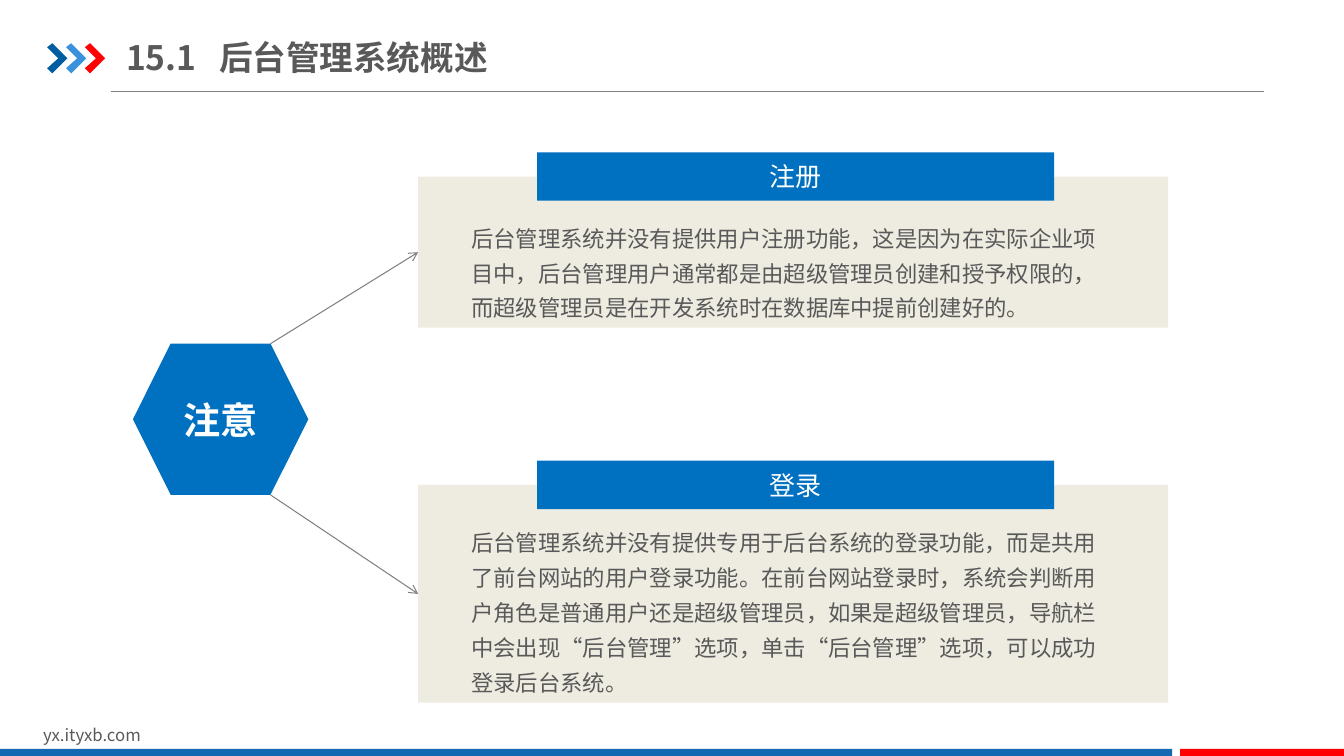
from lxml.etree import SubElement
from pptx import Presentation
from pptx.dml.color import RGBColor
from pptx.enum.shapes import MSO_CONNECTOR, MSO_SHAPE
from pptx.enum.text import MSO_ANCHOR, PP_ALIGN
from pptx.oxml.ns import qn
from pptx.util import Cm, Pt

FONT = "Noto Sans CJK SC"
BLUE, BEIGE, GRAY, TEXT, RED, WHITE = "0070C0", "EEECE1", "808080", "595959", "FF0000", "FFFFFF"

TITLE = "15.1\t后台管理系统概述"
TITLE_TAB = 2.34
SITE = "yx.ityxb.com"
HUB = "注意"
CARDS = [
    {"heading": "注册", "top": 4.45, "height": 3.81, "body_top": 5.33,
     "body": "后台管理系统并没有提供用户注册功能，这是因为在实际企业项目中，后台管理用户通常都是由超级管理员创建和授予权限的，"
             "而超级管理员是在开发系统时在数据库中提前创建好的。"},
    {"heading": "登录", "top": 12.22, "height": 5.49, "body_top": 13.0,
     "body": "后台管理系统并没有提供专用于后台系统的登录功能，而是共用了前台网站的用户登录功能。在前台网站登录时，"
             "系统会判断用户角色是普通用户还是超级管理员，如果是超级管理员，导航栏中会出现“后台管理”选项，"
             "单击“后台管理”选项，可以成功登录后台系统。"},
]
CHEVRON_COLORS = ["005DA2", "3992DB", RED]
CHEVRON = [(0, 0.1), (0.13, 0), (0.51, 0.38), (0.13, 0.76), (0, 0.63), (0.28, 0.38)]
CHEVRON_LEFT, CHEVRON_TOP, CHEVRON_STEP = 1.19, 1.09, 0.475
FOOTER_BARS = [(0, 29.54, "1369B2"), (29.74, 4.14, RED)]

HUB_LEFT, HUB_TOP, HUB_WIDTH, HUB_HEIGHT = 3.35, 8.66, 4.42, 3.81
HUB_CORNER = HUB_LEFT + HUB_WIDTH - HUB_HEIGHT / 4
PANEL_LEFT, PANEL_WIDTH = 10.54, 18.9
HEADING_LEFT, HEADING_WIDTH, HEADING_HEIGHT = 13.54, 13.03, 1.22

presentation = Presentation()
presentation.slide_width, presentation.slide_height = Cm(33.87), Cm(19.05)
slide = presentation.slides.add_slide(presentation.slide_layouts[6])


def color(value):
    return RGBColor.from_string(value)


def paint(shape, fill):
    shape.shadow.inherit = False
    shape.fill.solid()
    shape.fill.fore_color.rgb = color(fill)
    shape.line.fill.background()


def write(shape, text, size, ink=TEXT, bold=False, align=PP_ALIGN.LEFT,
          anchor=MSO_ANCHOR.MIDDLE, margins=(0.25, 0.13), spacing=None, tab=None):
    frame = shape.text_frame
    frame.word_wrap = True
    frame.vertical_anchor = anchor
    frame.margin_left = frame.margin_right = Cm(margins[0])
    frame.margin_top = frame.margin_bottom = Cm(margins[1])
    paragraph = frame.paragraphs[0]
    paragraph.text = text
    paragraph.alignment = align
    if spacing:
        paragraph.line_spacing = spacing
    if tab:
        tabs = SubElement(paragraph._p.get_or_add_pPr(), qn("a:tabLst"))
        SubElement(tabs, qn("a:tab"), pos=str(Cm(tab)), algn="l")
    font = paragraph.font
    font.name, font.size, font.bold = FONT, Pt(size), bold
    font.color.rgb = color(ink)
    SubElement(font._rPr, qn("a:ea"), typeface=FONT)


def add_block(kind, left, top, width, height, fill):
    shape = slide.shapes.add_shape(kind, Cm(left), Cm(top), Cm(width), Cm(height))
    paint(shape, fill)
    return shape


def add_text(left, top, width, height, text, size, **style):
    box = slide.shapes.add_textbox(Cm(left), Cm(top), Cm(width), Cm(height))
    write(box, text, size, **style)


def add_line(x1, y1, x2, y2, arrow=False):
    connector = slide.shapes.add_connector(MSO_CONNECTOR.STRAIGHT, Cm(x1), Cm(y1), Cm(x2), Cm(y2))
    connector.line.color.rgb = color(GRAY)
    connector.line.width = Pt(0.75)
    if arrow:
        SubElement(connector.line._get_or_add_ln(), qn("a:tailEnd"), type="arrow")
    SubElement(connector._element.spPr, qn("a:effectLst"))


add_line(2.79, 2.31, 31.85, 2.31)
for index, fill in enumerate(CHEVRON_COLORS):
    left = CHEVRON_LEFT + index * CHEVRON_STEP
    points = [(Cm(left + x), Cm(CHEVRON_TOP + y)) for x, y in CHEVRON]
    builder = slide.shapes.build_freeform(*points[0])
    builder.add_line_segments(points[1:], close=True)
    paint(builder.convert_to_shape(), fill)

add_text(0.84, 18.14, 8.08, 0.76, SITE, 12, anchor=MSO_ANCHOR.TOP)
for left, width, fill in FOOTER_BARS:
    add_block(MSO_SHAPE.RECTANGLE, left, 18.87, width, 0.23, fill)
add_text(3.18, 0.74, 10.82, 1.4, TITLE, 24, bold=True, margins=(0, 0.18), tab=TITLE_TAB)

hub = add_block(MSO_SHAPE.HEXAGON, HUB_LEFT, HUB_TOP, HUB_WIDTH, HUB_HEIGHT, BLUE)
write(hub, HUB, 26.6, ink=WHITE, bold=True, align=PP_ALIGN.CENTER)

for card, corner_y in zip(CARDS, (HUB_TOP, HUB_TOP + HUB_HEIGHT)):
    top, height, body_top = card["top"], card["height"], card["body_top"]
    add_block(MSO_SHAPE.RECTANGLE, PANEL_LEFT, top, PANEL_WIDTH, height, BEIGE)
    heading = add_block(MSO_SHAPE.RECTANGLE, HEADING_LEFT, top - HEADING_HEIGHT / 2,
                        HEADING_WIDTH, HEADING_HEIGHT, BLUE)
    write(heading, card["heading"], 18.6, ink=WHITE, align=PP_ALIGN.CENTER)
    add_line(HUB_CORNER, corner_y, PANEL_LEFT, top + height / 2, arrow=True)
    add_text(11.63, body_top, 16.81, top + height - body_top, card["body"], 16,
             anchor=MSO_ANCHOR.TOP, spacing=1.3)

presentation.save("out.pptx")
